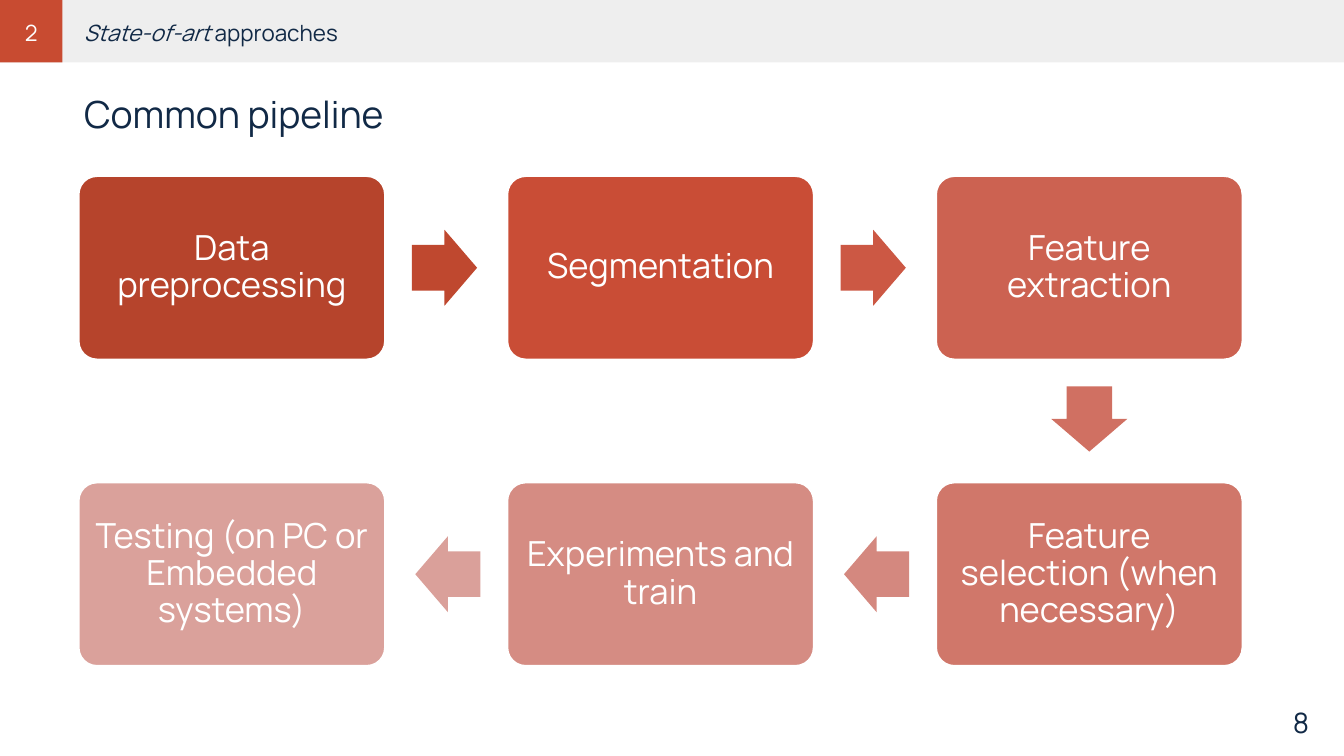
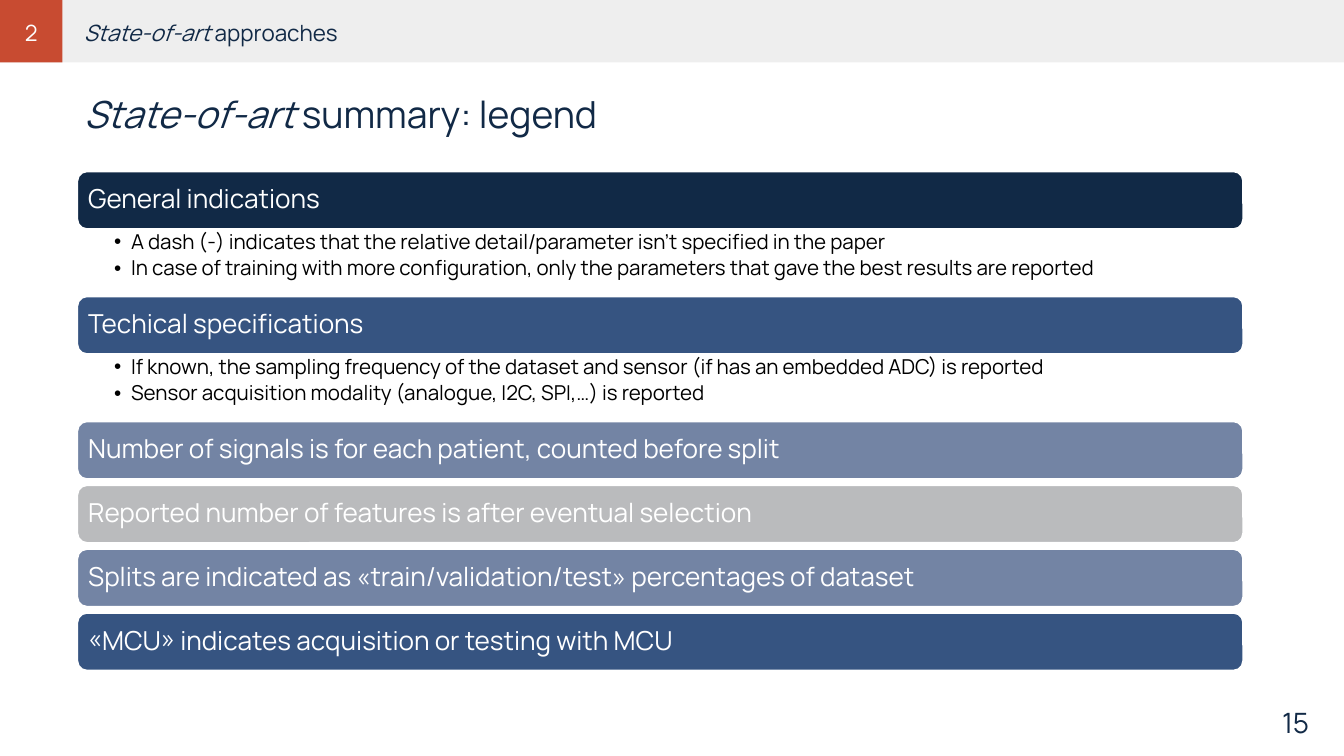
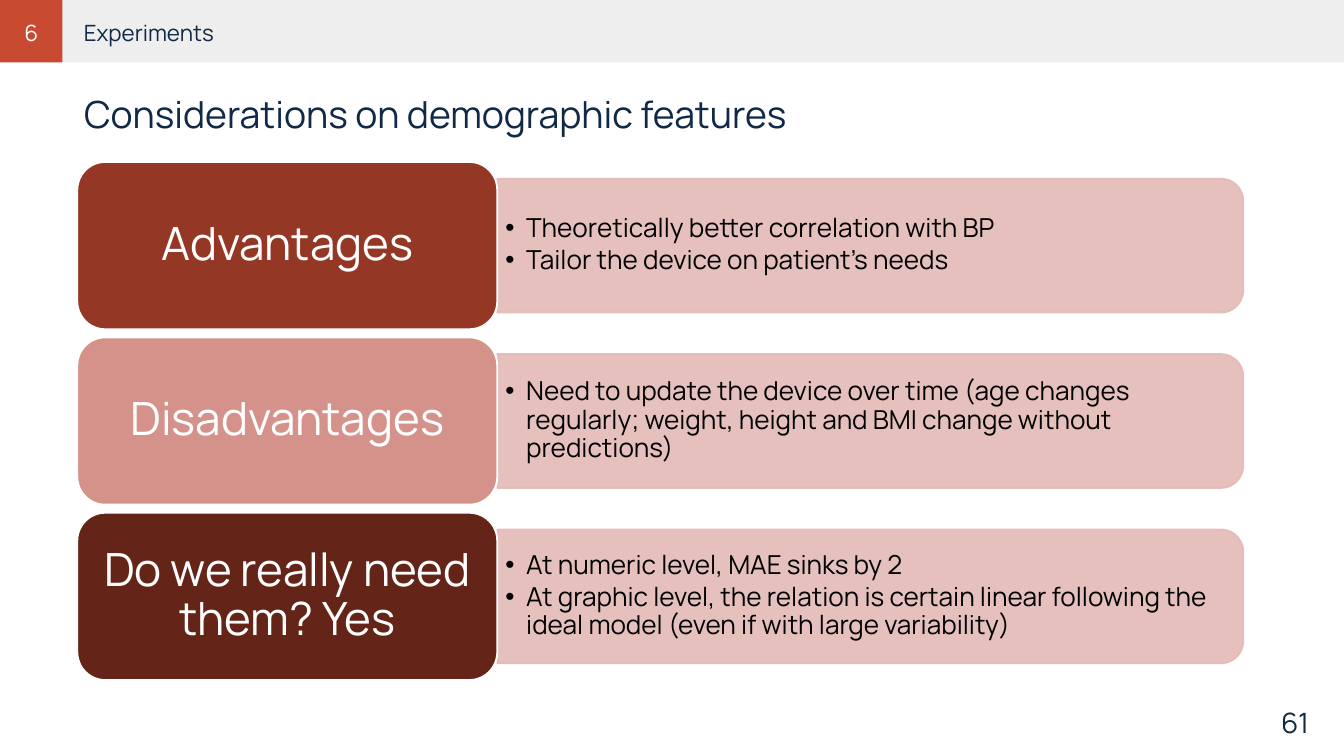
import dataclasses
import math

import lxml.etree
import pptx
import pptx.dml.color
import pptx.enum.shapes
import pptx.enum.text
import pptx.oxml.ns
import pptx.util

Inches = pptx.util.Inches
Shapes = pptx.enum.shapes.MSO_SHAPE
Align = pptx.enum.text.PP_ALIGN
Anchor = pptx.enum.text.MSO_ANCHOR


@dataclasses.dataclass(frozen=True)
class Theme:
    font: str = "Manrope"
    white: str = "FFFFFF"
    black: str = "000000"
    navy: str = "112946"
    blue: str = "365481"
    slate: str = "7384A4"
    silver: str = "BABBBD"
    band: str = "EEEEEE"
    red: str = "C84B31"
    panel: str = "E3BAB6"
    steps: tuple = ("B6442C", "C94D36", "CC6251", "D0776A", "D58C83", "DAA19B")
    arrows: tuple = ("BF482F", "CC5844", "D07062", "D4887F", "DAA09A")
    labels: tuple = ("943724", "D5928A", "642518")
    title_size: int = 40
    section_size: int = 24
    page_size: int = 30
    step_size: int = 37
    bar_size: int = 28
    note_size: int = 22
    label_size: int = 49
    point_size: int = 28


THEME = Theme()
LEFT, WIDTH = 1.15, 17.35
PANEL_ALPHA = "90000"


def rgb(color):
    return pptx.dml.color.RGBColor.from_string(color)


def place(shape, left, top, width, height):
    shape.left, shape.top = Inches(left), Inches(top)
    shape.width, shape.height = Inches(width), Inches(height)


def format_frame(frame, anchor=Anchor.TOP, margins=(0.1, 0.05, 0.1, 0.05)):
    frame.word_wrap = True
    frame.auto_size = pptx.enum.text.MSO_AUTO_SIZE.NONE
    frame.vertical_anchor = anchor
    (frame.margin_left, frame.margin_top,
     frame.margin_right, frame.margin_bottom) = map(Inches, margins)


def format_paragraph(paragraph, size, color, align=Align.LEFT):
    paragraph.alignment = align
    paragraph.space_before = pptx.util.Pt(0)
    paragraph.font.name = THEME.font
    paragraph.font.size = pptx.util.Pt(size)
    paragraph.font.bold = False
    paragraph.font.color.rgb = rgb(color)


def write_line(frame, text, size, color, align=Align.LEFT, italic=""):
    paragraph = frame.paragraphs[0]
    format_paragraph(paragraph, size, color, align)
    if italic:
        run = paragraph.add_run()
        run.text = italic
        run.font.italic = True
    paragraph.add_run().text = text
    return paragraph


def add_text(slide, box, text, size, color, align=Align.LEFT, italic="", anchor=Anchor.TOP):
    text_box = slide.shapes.add_textbox(*map(Inches, box))
    format_frame(text_box.text_frame, anchor)
    write_line(text_box.text_frame, text, size, color, align, italic)


def add_block(slide, kind, box, fill, outline=None):
    shape = slide.shapes.add_shape(kind, *map(Inches, box))
    shape.shadow.inherit = False
    shape.fill.solid()
    shape.fill.fore_color.rgb = rgb(fill)
    if outline:
        shape.line.color.rgb = rgb(outline)
        shape.line.width = pptx.util.Pt(2)
    else:
        shape.line.fill.background()
    return shape


def add_card(slide, box, fill, text, size, margins, align=Align.CENTER):
    card = add_block(slide, Shapes.ROUNDED_RECTANGLE, box, fill, THEME.white)
    format_frame(card.text_frame, Anchor.MIDDLE, margins)
    paragraph = write_line(card.text_frame, text, size, THEME.white, align)
    paragraph.line_spacing = 0.9
    paragraph.space_after = pptx.util.Pt(0.35 * size)
    return card


def add_bullet(paragraph, indent):
    properties = paragraph._p.get_or_add_pPr()
    properties.set("marL", str(Inches(indent)))
    properties.set("indent", str(Inches(-indent)))
    bullet = lxml.etree.SubElement(properties, pptx.oxml.ns.qn("a:buChar"))
    bullet.set("char", "•")


def fill_list(placeholder, box, items, size, indent, spacing, margins, anchor=Anchor.TOP):
    placeholder.element.getparent().append(placeholder.element)
    place(placeholder, *box)
    frame = placeholder.text_frame
    format_frame(frame, anchor, margins)
    frame.text = "\n".join(items)
    for paragraph in frame.paragraphs:
        paragraph.level = 1
        add_bullet(paragraph, indent)
        format_paragraph(paragraph, size, THEME.black)
        paragraph.line_spacing = 0.9
        paragraph.space_after = pptx.util.Pt(spacing * size)


def add_panel(slide, left, top, width, height):
    box = (left + (width - height) / 2, top + (height - width) / 2, height, width)
    panel = add_block(slide, Shapes.ROUND_2_SAME_RECTANGLE, box, THEME.panel, THEME.panel)
    panel.rotation = 90
    for color in panel.element.spPr.iter(pptx.oxml.ns.qn("a:srgbClr")):
        lxml.etree.SubElement(color, pptx.oxml.ns.qn("a:alpha")).set("val", PANEL_ALPHA)


def start_slide(presentation, layout_name, number, section, title, page,
                section_italic="", title_italic=""):
    layout = presentation.slide_layouts.get_by_name(layout_name)
    slide = presentation.slides.add_slide(layout)
    place(slide.shapes.title, LEFT, 1.3, WIDTH, 0.73)
    format_frame(slide.shapes.title.text_frame)
    write_line(slide.shapes.title.text_frame, title, THEME.title_size, THEME.navy,
               italic=title_italic)
    add_block(slide, Shapes.RECTANGLE, (0, 0, 20, 0.93), THEME.band)
    add_block(slide, Shapes.RECTANGLE, (0, 0, 0.93, 0.93), THEME.red)
    add_text(slide, (LEFT, 0.23, WIDTH, 0.45), section, THEME.section_size, THEME.navy,
             italic=section_italic)
    add_text(slide, (0.11, 0.23, 0.71, 0.45), number, THEME.section_size, THEME.white,
             Align.CENTER)
    add_text(slide, (17.25, 10.55, 2.33, 0.4), page, THEME.page_size, THEME.navy,
             Align.RIGHT, anchor=Anchor.MIDDLE)
    return slide


def add_step_arrow(slide, center, direction, step_size, fill):
    length, breadth, gap = 0.97, 1.13, 0.4
    x, y = (middle + way * (extent / 2 + gap + length / 2)
            for middle, way, extent in zip(center, direction, step_size))
    box = (x - length / 2, y - breadth / 2, length, breadth)
    arrow = add_block(slide, Shapes.RIGHT_ARROW, box, fill)
    arrow.adjustments[0] = 0.6
    arrow.rotation = math.degrees(math.atan2(direction[1], direction[0]))


def build_pipeline(presentation):
    slide = start_slide(presentation, "Title Only", "2", "approaches", "Common pipeline", "8",
                        section_italic="State-of-art ")
    steps = ("Data preprocessing", "Segmentation", "Feature extraction",
             "Feature selection (when necessary)", "Experiments and train",
             "Testing (on PC or Embedded systems)")
    cells = ((0, 0), (1, 0), (2, 0), (2, 1), (1, 1), (0, 1))
    width, height = 4.56, 2.73
    corners = [(1.17 + 6.38 * column, 2.62 + 4.56 * row) for column, row in cells]
    for (left, top), text, fill in zip(corners, steps, THEME.steps):
        card = add_card(slide, (left, top, width, height), fill, text, THEME.step_size,
                        (0.15, 0.15, 0.15, 0.15))
        card.adjustments[0] = 0.1
    for (left, top), cell, following, fill in zip(corners, cells, cells[1:], THEME.arrows):
        center = (left + width / 2, top + height / 2)
        direction = (following[0] - cell[0], following[1] - cell[1])
        add_step_arrow(slide, center, direction, (width, height), fill)


def build_legend(presentation):
    slide = start_slide(presentation, "Two Content", "2", " approaches", "summary: legend", "15",
                        section_italic="State-of-art", title_italic="State-of-art ")
    entries = (
        ("General indications", THEME.navy, (
            "A dash (-) indicates that the relative detail/parameter isn’t specified in the paper",
            "In case of training with more configuration, only the parameters that gave the best "
            "results are reported")),
        ("Techical specifications", THEME.blue, (
            "If known, the sampling frequency of the dataset and sensor (if has an embedded ADC) "
            "is reported",
            "Sensor acquisition modality (analogue, I2C, SPI,…) is reported")),
        ("Number of signals is for each patient, counted before split", THEME.slate, ()),
        ("Reported number of features is after eventual selection", THEME.silver, ()),
        ("Splits are indicated as «train/validation/test» percentages of dataset",
         THEME.slate, ()),
        ("«MCU» indicates acquisition or testing with MCU", THEME.blue, ()),
    )
    bodies = iter(list(slide.placeholders)[1:])
    top, bar_height, list_height, gap = 2.55, 0.86, 1, 0.09
    for heading, fill, notes in entries:
        add_card(slide, (LEFT, top, WIDTH, bar_height), fill, heading, THEME.bar_size,
                 (0.12, 0.12, 0.12, 0.12), Align.LEFT)
        top += bar_height
        if notes:
            fill_list(next(bodies), (LEFT, top, WIDTH, list_height), notes, THEME.note_size,
                      0.25, 0.2, (0.55, 0.04, 0.22, 0.04))
        top += list_height if notes else gap


def build_considerations(presentation):
    slide = start_slide(presentation, "Comparison", "6", "Experiments",
                        "Considerations on demographic features", "61")
    rows = (
        ("Advantages", ("Theoretically better correlation with BP",
                        "Tailor the device on patient’s needs")),
        ("Disadvantages", ("Need to update the device over time (age changes regularly; weight, "
                           "height and BMI change without predictions)",)),
        ("Do we really need them? Yes", (
            "At numeric level, MAE sinks by 2",
            "At graphic level, the relation is certain linear following the ideal model "
            "(even if with large variability)")),
    )
    *bodies, spare = list(slide.placeholders)[1:]
    spare.element.getparent().remove(spare.element)
    label_width, label_height = 6.25, 2.49
    panel_left = LEFT + label_width
    for index, ((label, points), fill, body) in enumerate(zip(rows, THEME.labels, bodies)):
        top = 2.41 + 2.61 * index
        add_panel(slide, panel_left, top + 0.25, 11.1, 1.99)
        fill_list(body, (panel_left, top + 0.34, 11.01, 1.8), points, THEME.point_size,
                  0.31, 0.15, (0.12, 0.06, 0.12, 0.06), Anchor.MIDDLE)
        add_card(slide, (LEFT, top, label_width, label_height), fill, label, THEME.label_size,
                 (0.2, 0.1, 0.2, 0.1))


def main():
    presentation = pptx.Presentation()
    presentation.slide_width, presentation.slide_height = Inches(20), Inches(11.25)
    build_pipeline(presentation)
    build_legend(presentation)
    build_considerations(presentation)
    presentation.save("out.pptx")


if __name__ == "__main__":
    main()
